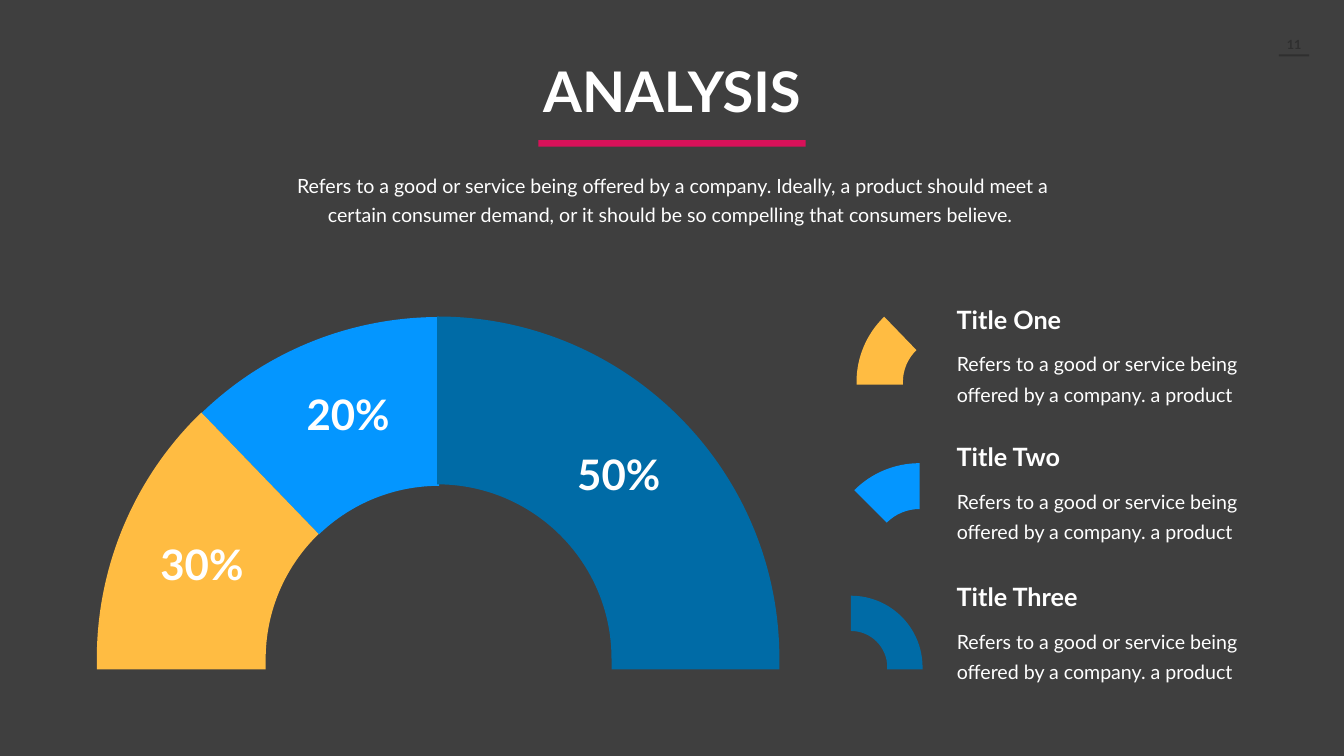
import math
from dataclasses import dataclass

import pptx
import pptx.dml.color
import pptx.enum.shapes
import pptx.enum.text
import pptx.oxml.ns
import pptx.util

PX = pptx.util.Inches(1) // 100


@dataclass(frozen=True)
class Theme:
    font: str = "Lato"
    background: str = "3F3F3F"
    text: str = "FFFFFF"
    page: str = "2F2F2F"
    accent: str = "D81159"
    yellow: str = "FFBC42"
    blue: str = "0496FF"
    navy: str = "006BA6"
    title_size: int = 80
    value_size: int = 60
    heading_size: int = 36
    body_size: int = 28
    page_size: int = 18


theme = Theme()
rgb = pptx.dml.color.RGBColor.from_string
qn = pptx.oxml.ns.qn
CENTER = pptx.enum.text.PP_ALIGN.CENTER
LEFT = pptx.enum.text.PP_ALIGN.LEFT


def write(text, at, size, sp=None, bold=False, color=theme.text, align=LEFT, spacing=None, inset=(10, 5)):
    box = [v * PX for v in at]
    if sp is None:
        sp = s.shapes.add_textbox(*box)
    sp.left, sp.top, sp.width, sp.height = box
    tf = sp.text_frame
    tf.word_wrap = True
    tf.auto_size = pptx.enum.text.MSO_AUTO_SIZE.NONE
    tf.vertical_anchor = pptx.enum.text.MSO_ANCHOR.TOP
    tf.margin_left = tf.margin_right = inset[0] * PX
    tf.margin_top = tf.margin_bottom = inset[1] * PX
    p = tf.paragraphs[0]
    p.alignment = align
    p.space_before = pptx.util.Pt(0)
    if spacing:
        p.line_spacing = pptx.util.Pt(spacing)
    r = p.add_run()
    r.text = text
    r.font.name = theme.font
    r.font.size = pptx.util.Pt(size)
    r.font.bold = bold
    r.font.color.rgb = rgb(color)


def add_sector(cx, cy, outer, inner, start, end, tail, color):
    arcs = []
    for radius, first, last in [(outer, start, end), (inner, end, start)]:
        a, b = math.radians(first), math.radians(last)
        k = 4 / 3 * math.tan((b - a) / 4)
        unit = [
            (math.cos(a), math.sin(a)),
            (math.cos(a) - k * math.sin(a), math.sin(a) + k * math.cos(a)),
            (math.cos(b) + k * math.sin(b), math.sin(b) - k * math.cos(b)),
            (math.cos(b), math.sin(b)),
        ]
        arcs.append([(cx + radius * x, cy - radius * y) for x, y in unit])
    rim, hole = arcs
    left_foot = [(cx - outer, cy + tail), (cx - inner, cy + tail)] if end == 180 else []
    right_foot = [(cx + inner, cy + tail), (cx + outer, cy + tail)] if start == 0 else []
    points = [(round(x * PX), round(y * PX)) for x, y in rim + left_foot + hole + right_foot]
    builder = s.shapes.build_freeform(*points[0])
    builder.add_line_segments(points[1:], close=True)
    sp = builder.convert_to_shape()
    outline = next(sp._element.iter(qn("a:path")))
    segments = outline.findall(qn("a:lnTo"))
    for i in (0, 4 + len(left_foot)):
        curve = segments[i]
        curve.tag = qn("a:cubicBezTo")
        for segment in segments[i + 1:i + 3]:
            curve.append(segment[0])
            outline.remove(segment)
    sp.shadow.inherit = False
    sp.fill.solid()
    sp.fill.fore_color.rgb = rgb(color)
    sp.line.fill.background()


prs = pptx.Presentation()
prs.slide_width = 2666 * PX
prs.slide_height = 1500 * PX
s = prs.slides.add_slide(prs.slide_layouts[5])
s.background.fill.solid()
s.background.fill.fore_color.rgb = rgb(theme.background)

for at, color in [((2537, 108, 60, 4), theme.page), ((1068, 278, 530, 13), theme.accent)]:
    sp = s.shapes.add_shape(pptx.enum.shapes.MSO_SHAPE.RECTANGLE, *[v * PX for v in at])
    sp.shadow.inherit = False
    sp.fill.solid()
    sp.fill.fore_color.rgb = rgb(color)
    sp.line.fill.background()

write("11", (2527, 69, 80, 40), theme.page_size, bold=True, color=theme.page, align=CENTER)
write("ANALYSIS", (999, 108, 668, 145), theme.title_size, sp=s.shapes.title, bold=True, align=CENTER)
write(
    "Refers to a good or service being offered by a company. Ideally, a product should meet a "
    "certain consumer demand, or it should be so compelling that consumers believe. ",
    (570, 331, 1528, 119), theme.body_size, align=CENTER, spacing=40.8,
)

sectors = [
    (871, 1307, 678, 343, 90, 134, 0, theme.blue),
    (871, 1307, 679, 344, 134, 180, 21, theme.yellow),
    (867, 1307, 679, 346, 0, 90, 21, theme.navy),
    (1879, 758, 180, 88, 134, 180, 5, theme.yellow),
    (1824, 1102, 183, 92, 90, 135, 0, theme.blue),
    (1688, 1324, 142, 72, 0, 90, 4, theme.navy),
]
for sector in sectors:
    add_sector(*sector)

for value, left, top in [("30%", 247, 1064), ("20%", 537, 766), ("50%", 1074, 885)]:
    write(value, (left, top, 307, 111), theme.value_size, bold=True, align=CENTER)

for heading, top in [("Title One", 598), ("Title Two", 871), ("Title Three", 1148)]:
    write(heading, (1888, top, 514, 71), theme.heading_size, bold=True)
    write(
        "Refers to a good or service being offered by a company. a product",
        (1874, top + 76, 623, 138), theme.body_size, spacing=43, inset=(24, 12),
    )

prs.save("out.pptx")
